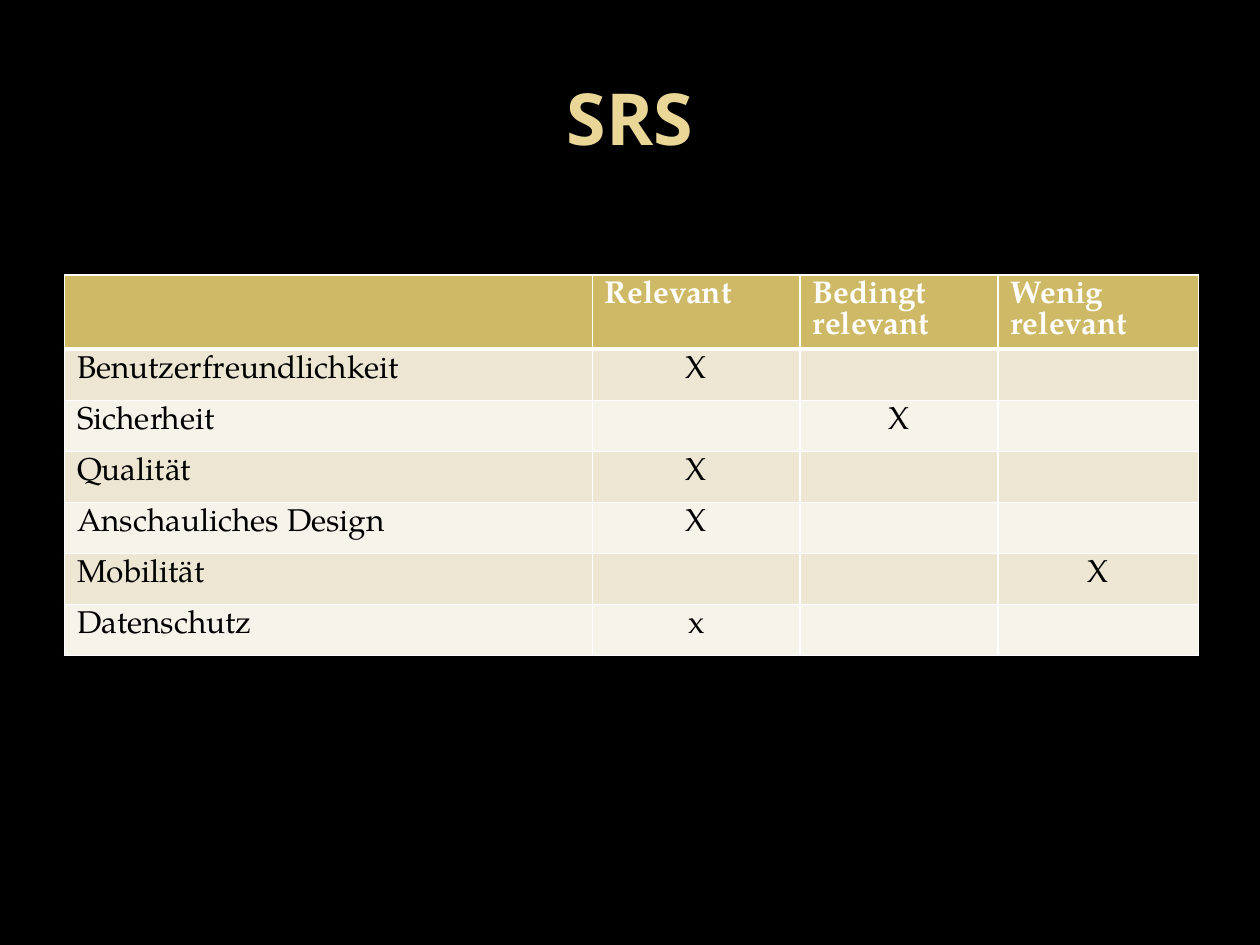
from lxml.etree import SubElement
from pptx import Presentation
from pptx.dml.color import RGBColor
from pptx.enum.text import MSO_ANCHOR, PP_ALIGN
from pptx.oxml import parse_xml
from pptx.oxml.ns import nsdecls
from pptx.util import Cm, Pt

# Content
TITLE = "SRS"
HEAD = ["", "Relevant", "Bedingt relevant", "Wenig relevant"]
ROWS = [
    # criterion, column of the mark, mark
    ("Benutzerfreundlichkeit", 1, "X"),
    ("Sicherheit", 2, "X"),
    ("Qualität", 1, "X"),
    ("Anschauliches Design", 1, "X"),
    ("Mobilität", 3, "X"),
    ("Datenschutz", 1, "x"),
]
WIDTHS = [10.64, 4.19, 3.99, 4.04]
HEAD_H, ROW_H = 1.49, 1.03
COLORS = {
    "back": "000000", "title": "EAD696", "head": "CEB966", "odd": "EDE6D3",
    "even": "F6F3EA", "line": "FFFFFF", "light": "FFFFFF", "dark": "000000",
}


def color(name):
    return RGBColor.from_string(COLORS[name])


def style(para, font, size, tint, bold, align):
    para.alignment = align
    for run in para.runs:
        run.font.name, run.font.size, run.font.bold = font, Pt(size), bold
        run.font.color.rgb = color(tint)


def border(cell, base):
    """Draw white cell borders; base is the width of the bottom one."""
    props = cell._tc.get_or_add_tcPr()
    sides = [("L", 1), ("R", 1), ("T", 1), ("B", base)]
    for spot, (side, width) in enumerate(sides):
        line = parse_xml(f'<a:ln{side} {nsdecls("a")} w="{Pt(width)}"/>')
        fill = SubElement(line, line.tag.split("}")[0] + "}solidFill")
        tint = SubElement(fill, line.tag.split("}")[0] + "}srgbClr")
        tint.set("val", COLORS["line"])
        props.insert(spot, line)


def main():
    prs = Presentation()
    prs.slide_width, prs.slide_height = Cm(25.4), Cm(19.05)
    slide = prs.slides.add_slide(prs.slide_layouts[5])
    slide.background.fill.solid()
    slide.background.fill.fore_color.rgb = color("back")

    # Title
    title = slide.shapes.title
    title.left, title.top = Cm(1.27), Cm(0.76)
    title.width, title.height = Cm(22.86), Cm(3.18)
    frame = title.text_frame
    frame.text = TITLE
    frame.vertical_anchor = MSO_ANCHOR.MIDDLE
    style(frame.paragraphs[0], "Open Sans", 41, "title", True, PP_ALIGN.CENTER)

    # Table grid
    grid = [HEAD]
    for name, spot, mark in ROWS:
        grid.append([name] + [mark if c == spot else "" for c in range(1, len(HEAD))])
    high = HEAD_H + ROW_H * len(ROWS)
    table = slide.shapes.add_table(
        len(grid), len(HEAD), Cm(1.3), Cm(5.54), Cm(sum(WIDTHS)), Cm(high)).table
    for col, width in zip(table.columns, WIDTHS):
        col.width = Cm(width)

    # Table cells
    for r, texts in enumerate(grid):
        top = r == 0
        table.rows[r].height = Cm(HEAD_H if top else ROW_H)
        for c, text in enumerate(texts):
            cell = table.cell(r, c)
            cell.text_frame.text = text
            cell.fill.solid()
            cell.fill.fore_color.rgb = color("head" if top else "odd" if r % 2 else "even")
            align = PP_ALIGN.LEFT if top or c == 0 else PP_ALIGN.CENTER
            style(cell.text_frame.paragraphs[0], "TeX Gyre Pagella", 18,
                  "light" if top else "dark", top, align)
            border(cell, 3 if top else 1)

    prs.save("out.pptx")


if __name__ == "__main__":
    main()
